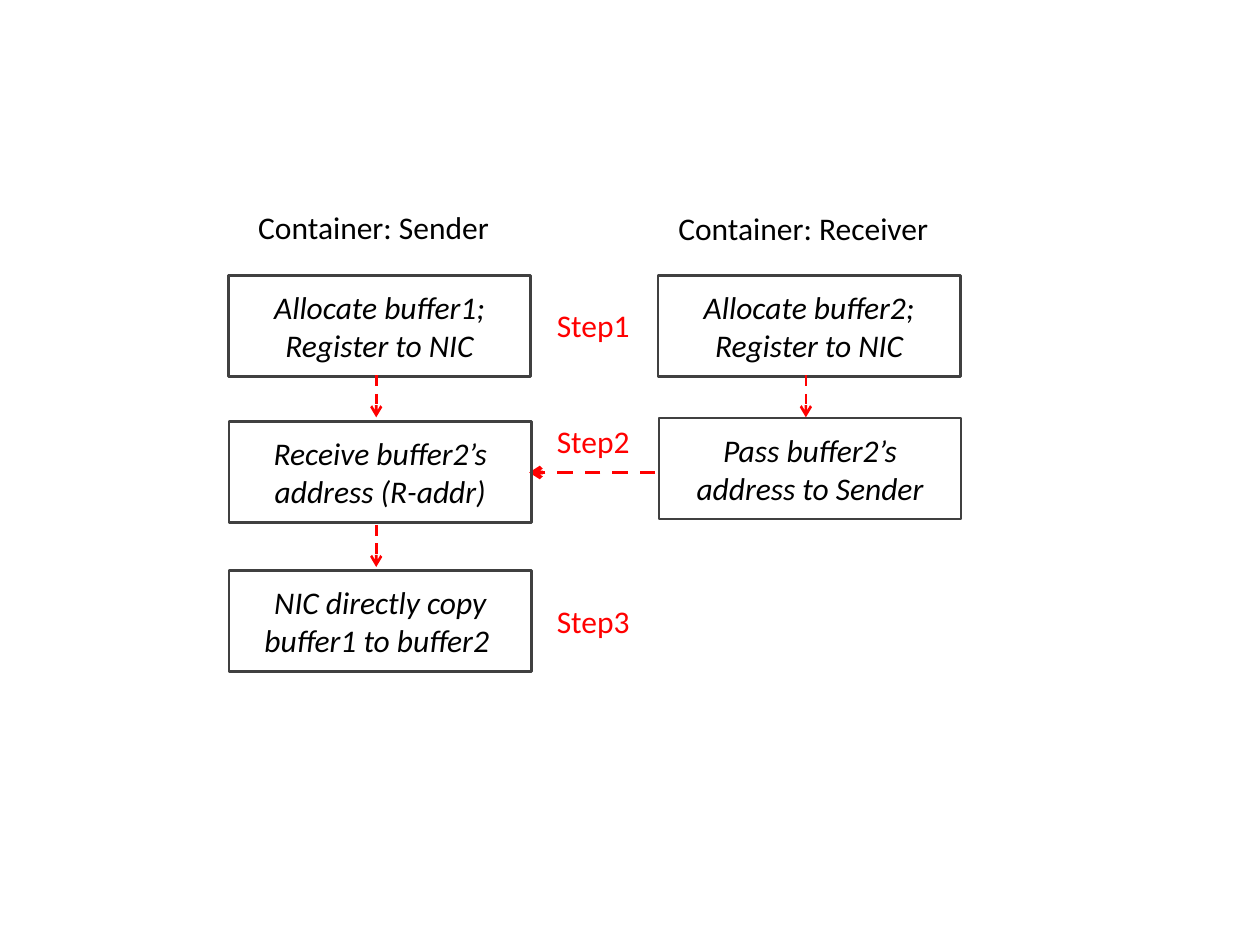
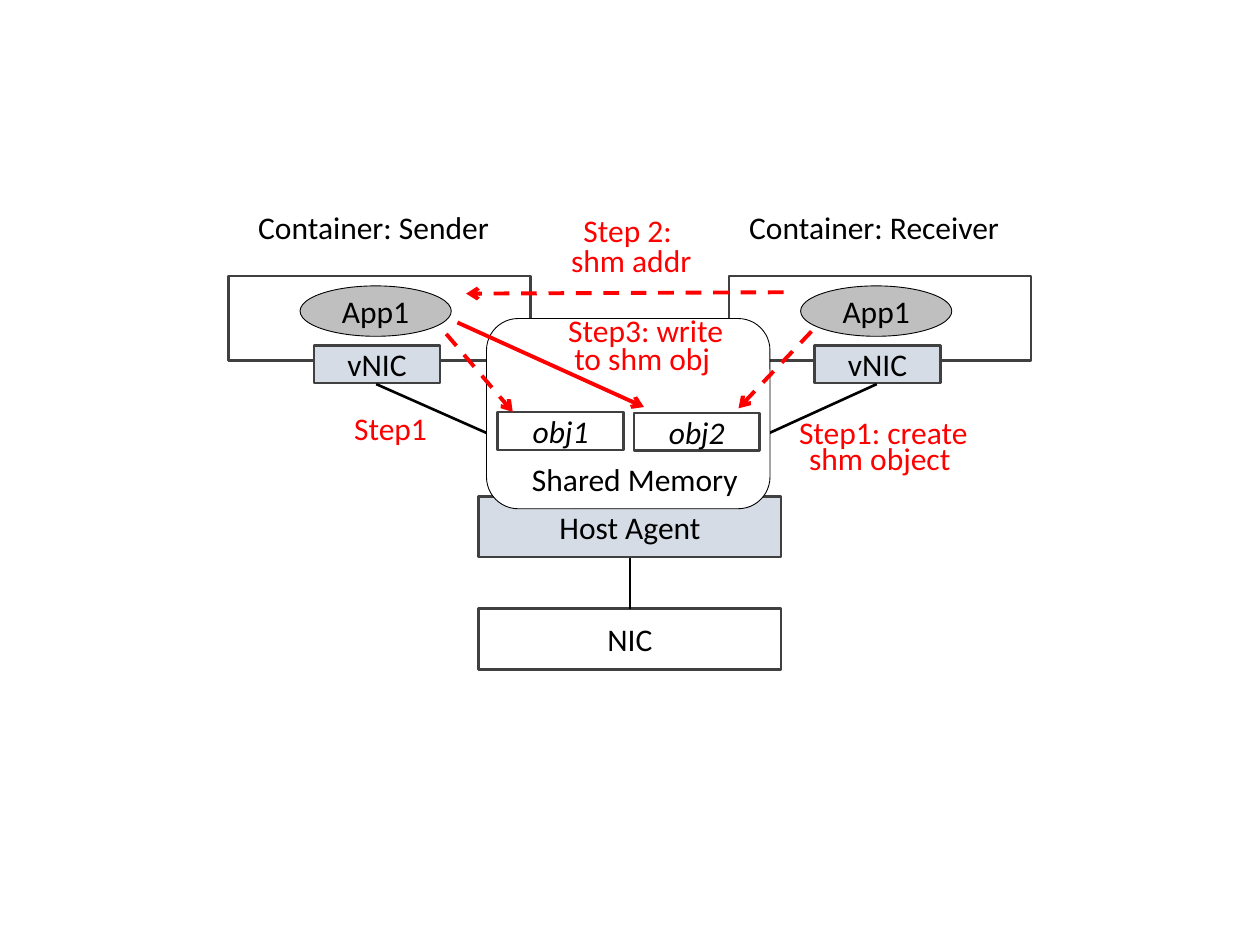
from pptx import Presentation
from pptx.dml.color import RGBColor
from pptx.enum.dml import MSO_LINE
from pptx.enum.shapes import MSO_CONNECTOR, MSO_SHAPE
from pptx.enum.text import MSO_ANCHOR, MSO_AUTO_SIZE, PP_ALIGN
from pptx.oxml.ns import qn
from pptx.util import Pt
from lxml.etree import SubElement

BLACK = RGBColor(0x00, 0x00, 0x00)
WHITE = RGBColor(0xFF, 0xFF, 0xFF)
RED = RGBColor(0xFF, 0x00, 0x00)
BORDER = RGBColor(0x40, 0x40, 0x40)
PALE_BLUE = RGBColor(0xD6, 0xDC, 0xE5)
GRAY = RGBColor(0xBF, 0xBF, 0xBF)

BLANK_LAYOUT = 6
BOX_WIDTH = 172.8
SENDER_LEFT = 130.5


def write_text(frame, text, color=BLACK, italic=False, spacing=(1,)):
    frame.word_wrap = True
    lines = text.split("\n")
    for index, line in enumerate(lines):
        paragraph = frame.paragraphs[0] if index == 0 else frame.add_paragraph()
        paragraph.alignment = PP_ALIGN.CENTER
        paragraph.line_spacing = spacing[min(index, len(spacing) - 1)]
        run = paragraph.add_run()
        run.text = line
        run.font.name = "Calibri"
        run.font.size = Pt(18)
        run.font.italic = italic
        run.font.color.rgb = color


class Diagram:
    def __init__(self, deck):
        self.shapes = deck.slides.add_slide(deck.slide_layouts[BLANK_LAYOUT]).shapes

    def box(self, left, top, width, height, text="", kind=MSO_SHAPE.RECTANGLE,
            fill=None, border=BORDER, weight=1.5, italic=False):
        shape = self.shapes.add_shape(kind, Pt(left), Pt(top), Pt(width), Pt(height))
        shape.shadow.inherit = False
        if fill is None:
            shape.fill.background()
        else:
            shape.fill.solid()
            shape.fill.fore_color.rgb = fill
        shape.line.color.rgb = border
        shape.line.width = Pt(weight)
        if text:
            shape.text_frame.vertical_anchor = MSO_ANCHOR.MIDDLE
            write_text(shape.text_frame, text, italic=italic)

    def label(self, left, top, width, height, text, color=RED, spacing=(1,)):
        textbox = self.shapes.add_textbox(Pt(left), Pt(top), Pt(width), Pt(height))
        write_text(textbox.text_frame, text, color=color, spacing=spacing)
        textbox.text_frame.auto_size = MSO_AUTO_SIZE.SHAPE_TO_FIT_TEXT

    def header(self, left, top, role):
        self.label(left, top, 162, 25, f"Container: {role}", BLACK, (0.8,))

    def line(self, start, end, color=BLACK, weight=1.5, dashed=False, arrow=False):
        connector = self.shapes.add_connector(
            MSO_CONNECTOR.STRAIGHT, *(Pt(value) for value in (*start, *end)))
        connector.line.color.rgb = color
        connector.line.width = Pt(weight)
        if dashed:
            connector.line.dash_style = MSO_LINE.DASH
        properties = connector._element.spPr
        if arrow:
            SubElement(properties.find(qn("a:ln")), qn("a:tailEnd"), type="arrow")
        SubElement(properties, qn("a:effectLst"))

    def arrow(self, start, end, weight=2.25, dashed=True):
        self.line(start, end, RED, weight, dashed, arrow=True)


def build_buffer_steps(deck):
    diagram = Diagram(deck)
    receiver_left = 376
    diagram.arrow((374.4, 270), (302.4, 270))
    for left, top, action in (
        (SENDER_LEFT, 157.5, "Allocate buffer1;\nRegister to NIC"),
        (receiver_left, 157.5, "Allocate buffer2;\nRegister to NIC"),
        (SENDER_LEFT + 0.5, 241, "Receive buffer2’s address (R-addr)"),
        (receiver_left + 0.5, 239, "Pass buffer2’s address to Sender"),
        (SENDER_LEFT + 0.5, 326, "NIC directly copy buffer1 to buffer2 "),
    ):
        diagram.box(left, top, BOX_WIDTH, 57.6, action, italic=True)
    for left, top in ((SENDER_LEFT, 214.5), (receiver_left, 214.5), (SENDER_LEFT, 300)):
        diagram.arrow((left + 84.5, top), (left + 84.5, top + 24), weight=1.5)
    for step, top, spacing in ((1, 173.5, 0.9), (2, 237.5, 1), (3, 340.5, 1)):
        diagram.label(309.5, top, 59, 28, f"Step{step}", spacing=(spacing,))
    diagram.header(132.5, 119.5, "Sender")
    diagram.header(378, 120, "Receiver")


def build_shared_memory(deck):
    diagram = Diagram(deck)
    hub_left, hub_center, hub_top = 273.6, 360, 283.7
    for left, role in ((SENDER_LEFT, "Sender"), (SENDER_LEFT + 286, "Receiver")):
        diagram.box(left, 157.7, BOX_WIDTH, 48.2)
        diagram.box(left + 49, 197.3, 72, 21.6, "vNIC", fill=PALE_BLUE)
        diagram.line((left + 84.5, 219.5), (hub_center, hub_top))
        diagram.box(left + 41, 163.4, 86.4, 28.8, "App1", MSO_SHAPE.OVAL,
                    fill=GRAY, border=BLACK, weight=0.5)
        diagram.header(left + 2, 119.7, role)

    diagram.box(hub_left, 347.8, BOX_WIDTH, 34.6, "NIC")
    diagram.line((hub_center, 319), (hub_center, 347.8))
    diagram.box(hub_left, hub_top, BOX_WIDTH, 34.6, "Host Agent", fill=PALE_BLUE)
    diagram.box(278, 182, 162, 108.7, kind=MSO_SHAPE.ROUNDED_RECTANGLE,
                fill=WHITE, border=BLACK, weight=0.5)
    for index in range(2):
        diagram.box(284.4 + 77.8 * index, 235.5 + 0.5 * index, 72, 21.6,
                    f"obj{index + 1}", italic=True)
    diagram.label(274.3, 259.2, 177, 28.8, "Shared Memory", BLACK)

    diagram.arrow((463.7, 189.4), (422, 233.3))
    diagram.arrow((255, 190.8), (293, 235.4))
    diagram.arrow((261.4, 184.3), (368, 232.6), dashed=False)
    diagram.arrow((447.8, 167), (266.4, 167.8))

    diagram.label(301.7, 121, 118, 43, "Step 2: \nshm addr", spacing=(0.8,))
    diagram.label(316, 183.6, 106, 36, "Step3: write \nto shm obj ", spacing=(0.5, 0.8))
    diagram.label(442.8, 238.3, 124, 39, "Step1: create\nshm object ", spacing=(0.7,))
    diagram.label(187.2, 236.2, 72, 23.8, "Step1", spacing=(0.7,))


deck = Presentation()
deck.slide_width, deck.slide_height = Pt(720), Pt(540)
build_buffer_steps(deck)
build_shared_memory(deck)
deck.save("out.pptx")
